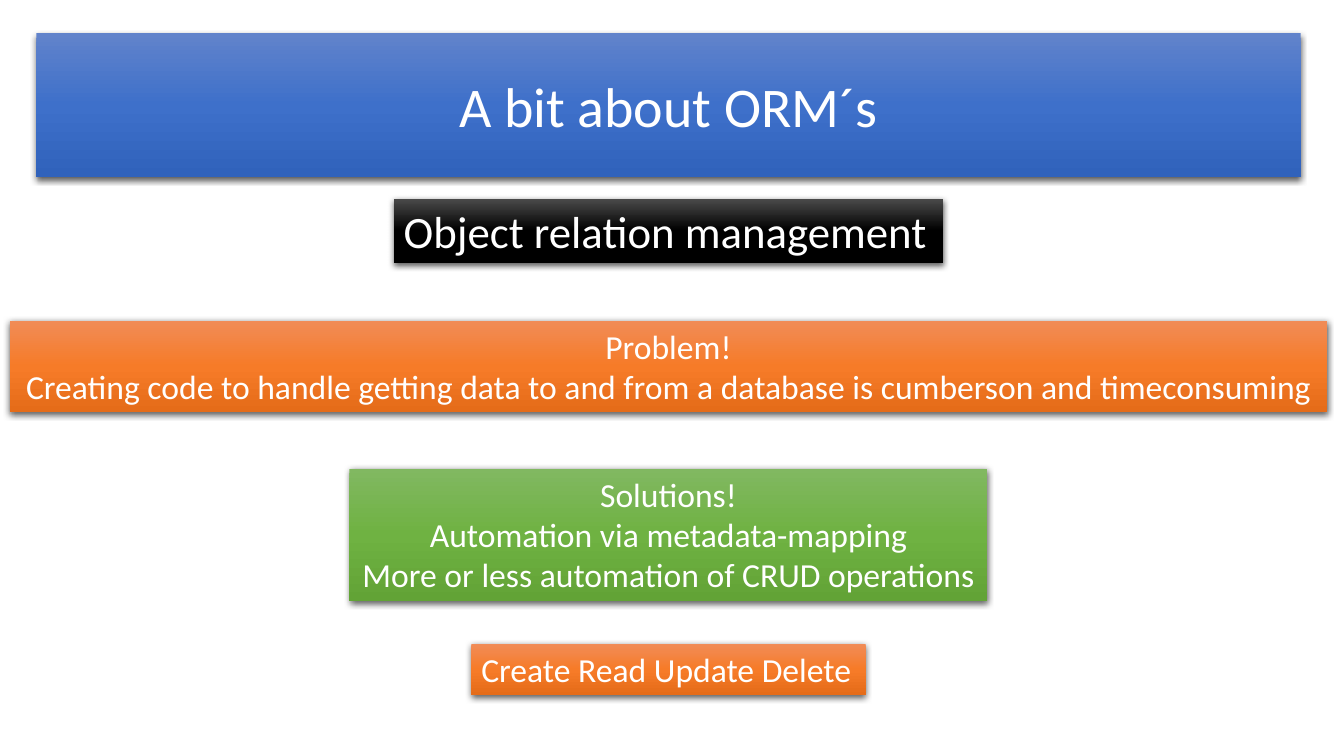
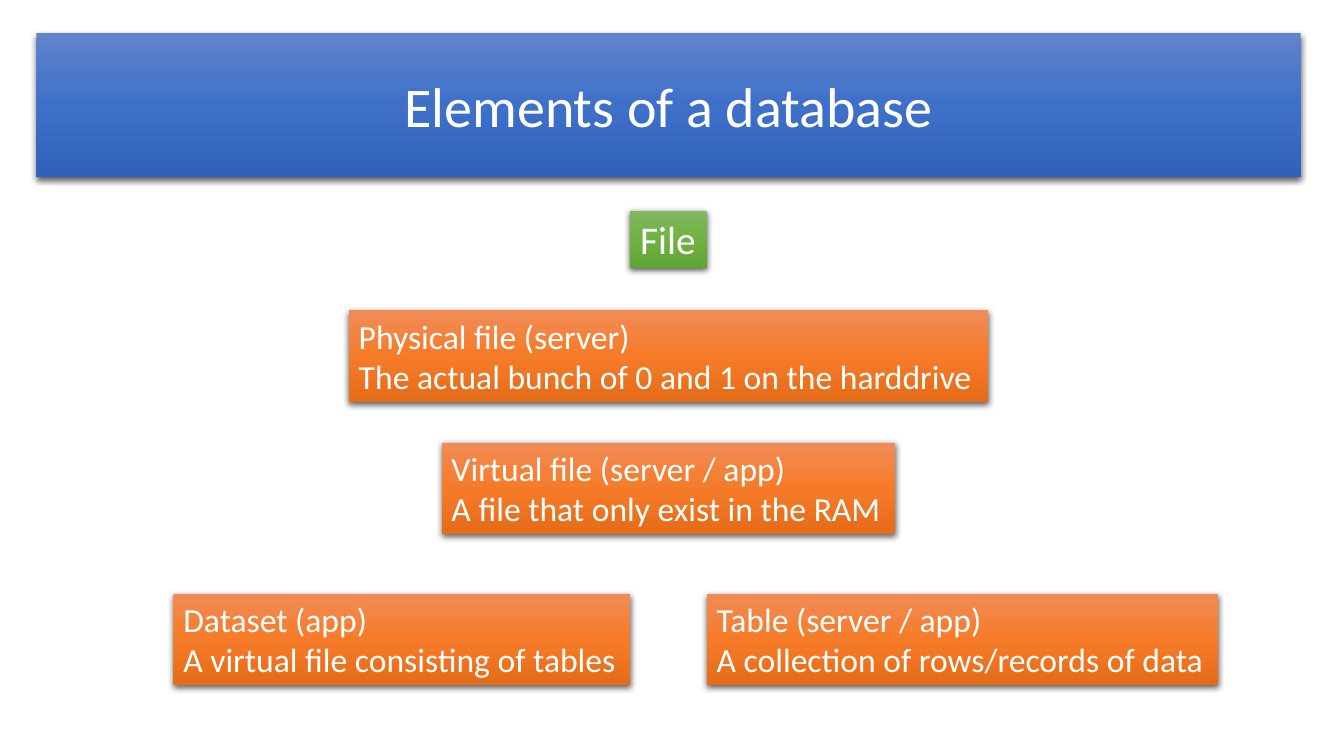
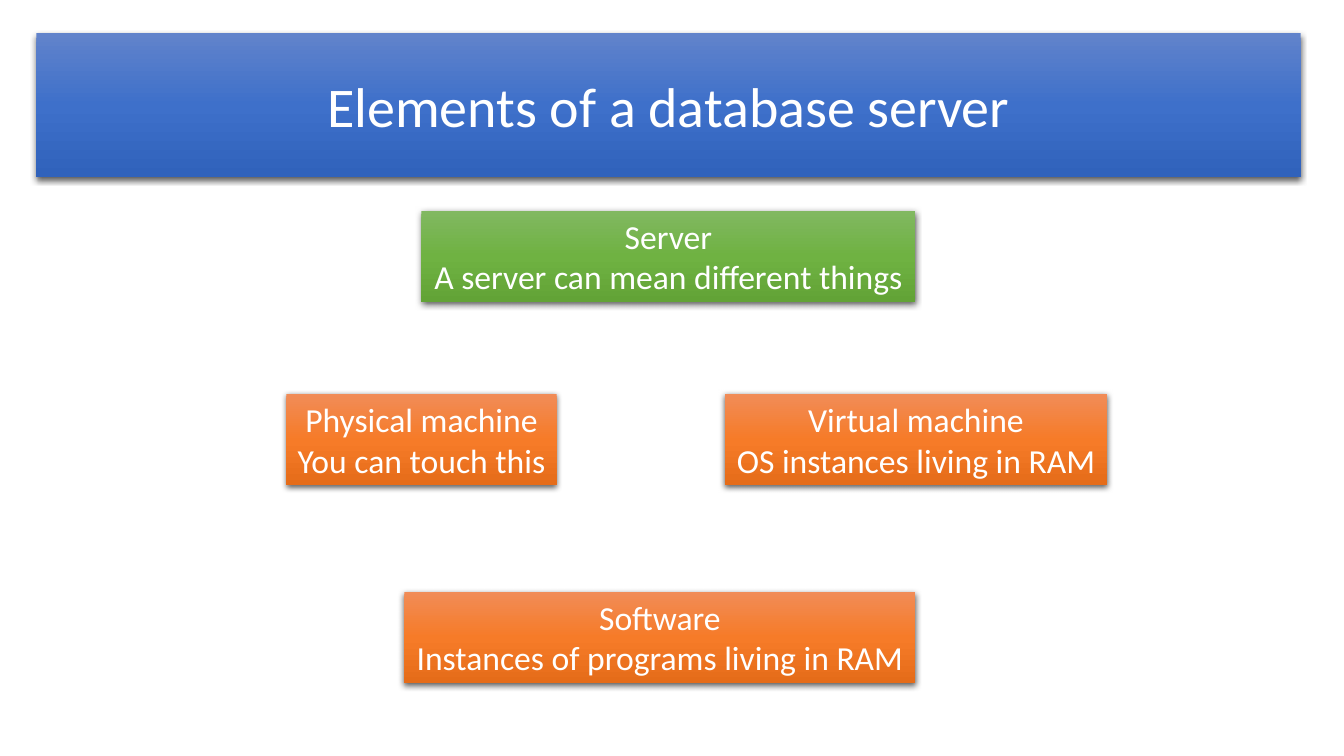
from copy import deepcopy

from lxml import etree
from pptx import Presentation
from pptx.dml.color import RGBColor
from pptx.enum import shapes, text
from pptx.oxml import ns
from pptx.util import Inches, Pt

WHITE = RGBColor(0xFF, 0xFF, 0xFF)
BLUE = [RGBColor(0x61, 0x83, 0xCB), RGBColor(0x3E, 0x70, 0xCA), RGBColor(0x30, 0x62, 0xBB)]
BLACK = [RGBColor(0x4B, 0x4B, 0x4B), RGBColor(0, 0, 0), RGBColor(0, 0, 0)]
ORANGE = [RGBColor(0xF1, 0x8C, 0x57), RGBColor(0xF6, 0x7B, 0x28), RGBColor(0xE5, 0x6C, 0x19)]
GREEN = [RGBColor(0x81, 0xB8, 0x61), RGBColor(0x6F, 0xB2, 0x42), RGBColor(0x62, 0xA3, 0x36)]

LEFT, CENTER = text.PP_ALIGN.LEFT, text.PP_ALIGN.CENTER
BANNER = (0.36, 0.33, 12.54, 1.43)
MIDDLE = 6.63
LINE = 1.21 / 72
FONT = {"name": "Calibri", "bold": False}
SHADOW = {"blurRad": Pt(4.5), "dist": Pt(1.5), "dir": 5400000, "rotWithShape": 0}
TITLE = {"word_wrap": True, "auto_size": text.MSO_AUTO_SIZE.NONE,
         "vertical_anchor": text.MSO_ANCHOR.MIDDLE}
CARD = {"word_wrap": False, "auto_size": text.MSO_AUTO_SIZE.SHAPE_TO_FIT_TEXT,
        "vertical_anchor": text.MSO_ANCHOR.TOP}


def apply(target, values):
    """Set each named format value on the target."""
    for name, value in values.items():
        setattr(target, name, value)


def paint(shape, tones):
    """Give a shape its vertical gradient, no outline and a soft shadow."""
    fill = shape.fill
    fill.gradient()
    fill.gradient_angle = 270
    stops = shape.element.spPr.find(".//" + ns.qn("a:gsLst"))
    stops.append(deepcopy(stops[-1]))
    for stop, place, tone in zip(fill.gradient_stops, (0, 0.5, 1), tones):
        stop.position = place
        stop.color.rgb = tone
    shape.line.fill.background()
    shape.shadow.inherit = False
    effects = shape.element.spPr.find(ns.qn("a:effectLst"))
    outer = etree.SubElement(effects, ns.qn("a:outerShdw"))
    for name, value in SHADOW.items():
        outer.set(name, str(value))
    color = etree.SubElement(outer, ns.qn("a:srgbClr"), val="000000")
    etree.SubElement(color, ns.qn("a:alpha"), val="63000")


def write(shape, lines, size, align, frame):
    """Fill a shape with one paragraph per line."""
    body = shape.text_frame
    body.text = "\n".join(lines)
    apply(body, frame)
    for para in body.paragraphs:
        para.alignment = align
        apply(para.font, {**FONT, "size": Pt(size)})
        para.font.color.rgb = WHITE


def banner(slide, box, words):
    """Turn the title placeholder into the banner."""
    title = slide.shapes.title
    apply(title, dict(zip(("left", "top", "width", "height"), map(Inches, box))))
    paint(title, BLUE)
    write(title, [words], 40, CENTER, TITLE)


def card(slide, box, lines, tones=ORANGE, size=24, align=LEFT):
    """Draw a card at left, top, width; its height follows its lines."""
    left, top, width = box
    if left is None:
        left = MIDDLE - width / 2
    height = 0.1 + len(lines) * size * LINE
    shape = slide.shapes.add_shape(
        shapes.MSO_SHAPE.RECTANGLE, *map(Inches, (left, top, width, height)))
    paint(shape, tones)
    write(shape, lines, size, align, CARD)


def start(deck, words):
    """Add a slide with its banner."""
    slide = deck.slides.add_slide(deck.slide_layouts[5])
    banner(slide, BANNER, words)
    return slide


def mapping(deck):
    """Build the slide about ORMs."""
    slide = start(deck, "A bit about ORM´s")
    card(slide, (None, 1.97, 5.45), ["Object relation management"], BLACK, 32)
    card(slide, (None, 3.18, 13.07),
         ["Problem!", "Creating code to handle getting data to and from a database "
          "is cumberson and timeconsuming"], align=CENTER)
    card(slide, (None, 4.65, 6.33),
         ["Solutions!", "Automation via metadata-mapping",
          "More or less automation of CRUD operations"], GREEN, align=CENTER)
    card(slide, (None, 6.39, 3.91), ["Create Read Update Delete"])


def files(deck):
    """Build the slide about database elements."""
    slide = start(deck, "Elements of a database")
    card(slide, (None, 2.09, 0.76), ["File"], GREEN, 28)
    for box, lines in (
        ((None, 3.08, 6.34), ["Physical file (server)",
                              "The actual bunch of 0 and 1 on the harddrive"]),
        ((None, 4.39, 4.5), ["Virtual file (server / app)",
                             "A file that only exist in the RAM"]),
        ((7.01, 5.89, 5.07), ["Table (server / app)",
                              "A collection of rows/records of data"]),
        ((1.72, 5.89, 4.53), ["Dataset (app)", "A virtual file consisting of tables"]),
    ):
        card(slide, box, lines)


def servers(deck):
    """Build the slide about database servers."""
    slide = start(deck, "Elements of a database server")
    for box, lines, tones in (
        ((None, 2.09, 4.9), ["Server", "A server can mean different things"], GREEN),
        ((2.84, 3.91, 2.68), ["Physical machine", "You can touch this"], ORANGE),
        ((7.19, 3.91, 3.79), ["Virtual machine", "OS instances living in RAM"], ORANGE),
        ((4.01, 5.87, 5.07), ["Software", "Instances of programs living in RAM"], ORANGE),
    ):
        card(slide, box, lines, tones, align=CENTER)


def main():
    """Build and save the deck."""
    deck = Presentation()
    apply(deck, {"slide_width": Inches(13.33), "slide_height": Inches(7.5)})
    for build in (mapping, files, servers):
        build(deck)
    deck.save("out.pptx")


main()
